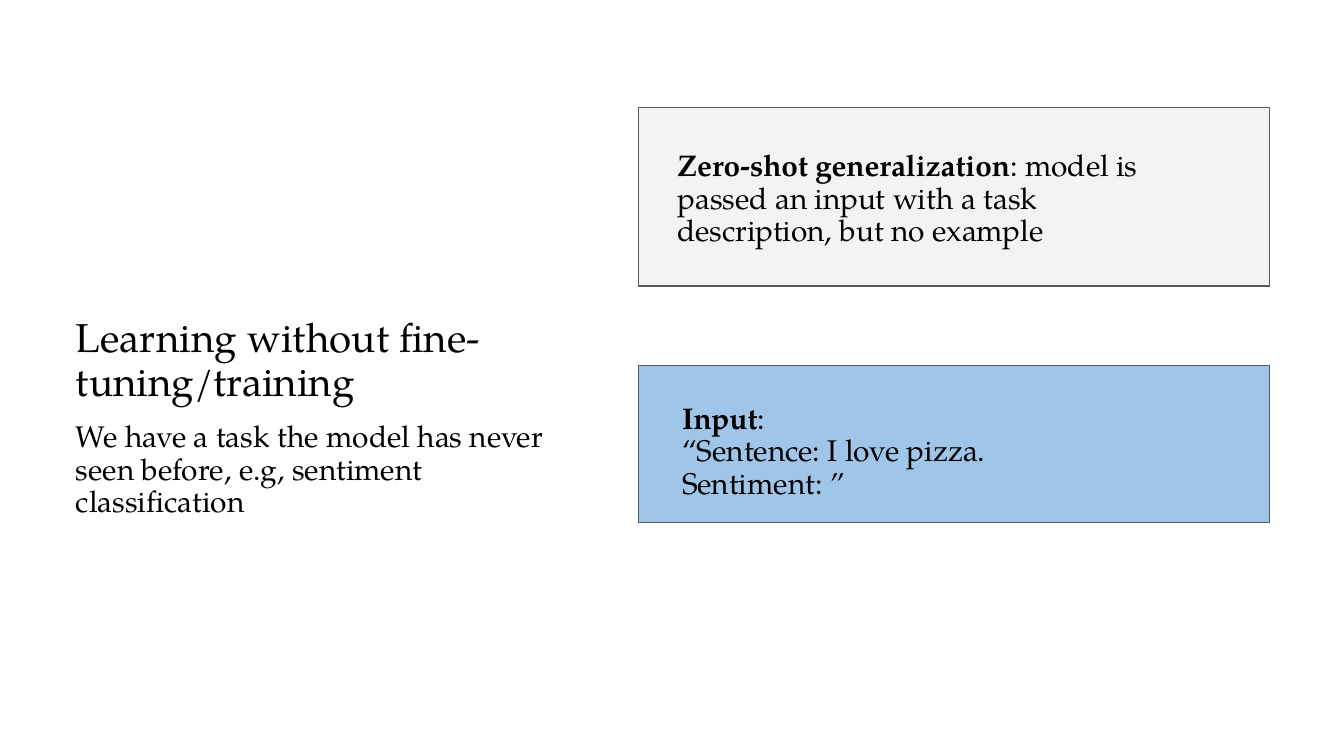
from typing import NamedTuple

from pptx import Presentation
from pptx.dml.color import RGBColor as RGB
from pptx.enum.shapes import MSO_SHAPE as Shape
from pptx.enum.text import MSO_ANCHOR as Anchor
from pptx.util import Pt

PX = 4572  # EMU per px, 200 px to the inch
FONT = "TeX Gyre Pagella"
COLORS = {"text": "000000", "line": "595959", "input": "9FC5E8", "definition": "F3F3F3"}


class Box(NamedTuple):
    x: int
    y: int
    w: int
    h: int


class Panel(NamedTuple):
    box: Box
    fill: str


class Run(NamedTuple):
    text: str
    bold: bool = False


class Label(NamedTuple):
    box: Box
    paragraphs: list[list[Run]]
    size: float = 16


PANELS = [
    Panel(Box(950, 544, 939, 234), "input"),
    Panel(Box(950, 160, 939, 266), "definition"),
]

LABELS = [
    Label(Box(98, 461, 688, 154), [[Run("Learning without fine-tuning/training")]], 21.6),
    Label(Box(98, 567, 786, 266), [
        [Run("We have a task the model has never seen before, e.g, sentiment classification")],
    ]),
    Label(Box(993, 203, 786, 188), [
        [Run("Zero-shot generalization", True),
         Run(": model is passed an input with a task description, but no example")],
    ]),
    Label(Box(1000, 503, 890, 340), [
        [Run("Input", True), Run(":")],
        [Run("“Sentence: I love pizza.")],
        [Run("Sentiment: ”")],
    ]),
]

FRAME = {
    "word_wrap": True, "vertical_anchor": Anchor.MIDDLE,
    "margin_left": 15 * PX, "margin_right": 15 * PX,
    "margin_top": 8 * PX, "margin_bottom": 8 * PX,
}


def emu(box: Box) -> list[int]:
    return [v * PX for v in box]


def set_all(target: object, values: dict) -> None:
    for name, value in values.items():
        setattr(target, name, value)


def add_panel(s, panel: Panel) -> None:
    sp = s.shapes.add_shape(Shape.RECTANGLE, *emu(panel.box))
    sp.shadow.inherit = False
    sp.fill.solid()
    sp.fill.fore_color.rgb = RGB.from_string(COLORS[panel.fill])
    sp.line.color.rgb = RGB.from_string(COLORS["line"])
    sp.line.width = Pt(0.75)


def add_label(s, label: Label) -> None:
    tf = s.shapes.add_textbox(*emu(label.box)).text_frame
    set_all(tf, FRAME)
    for i, runs in enumerate(label.paragraphs):
        p = tf.add_paragraph() if i else tf.paragraphs[0]
        p.line_spacing = 0.9
        for run in runs:
            r = p.add_run()
            r.text = run.text
            set_all(r.font, {"name": FONT, "size": Pt(label.size), "bold": run.bold})
            r.font.color.rgb = RGB.from_string(COLORS["text"])


def main() -> None:
    prs = Presentation()
    set_all(prs, {"slide_width": 2000 * PX, "slide_height": 1125 * PX})
    s = prs.slides.add_slide(prs.slide_layouts[6])

    # Panels behind the right-hand text
    for panel in PANELS:
        add_panel(s, panel)

    # Heading, task, definition and sample input
    for label in LABELS:
        add_label(s, label)

    prs.save("out.pptx")


if __name__ == "__main__":
    main()
